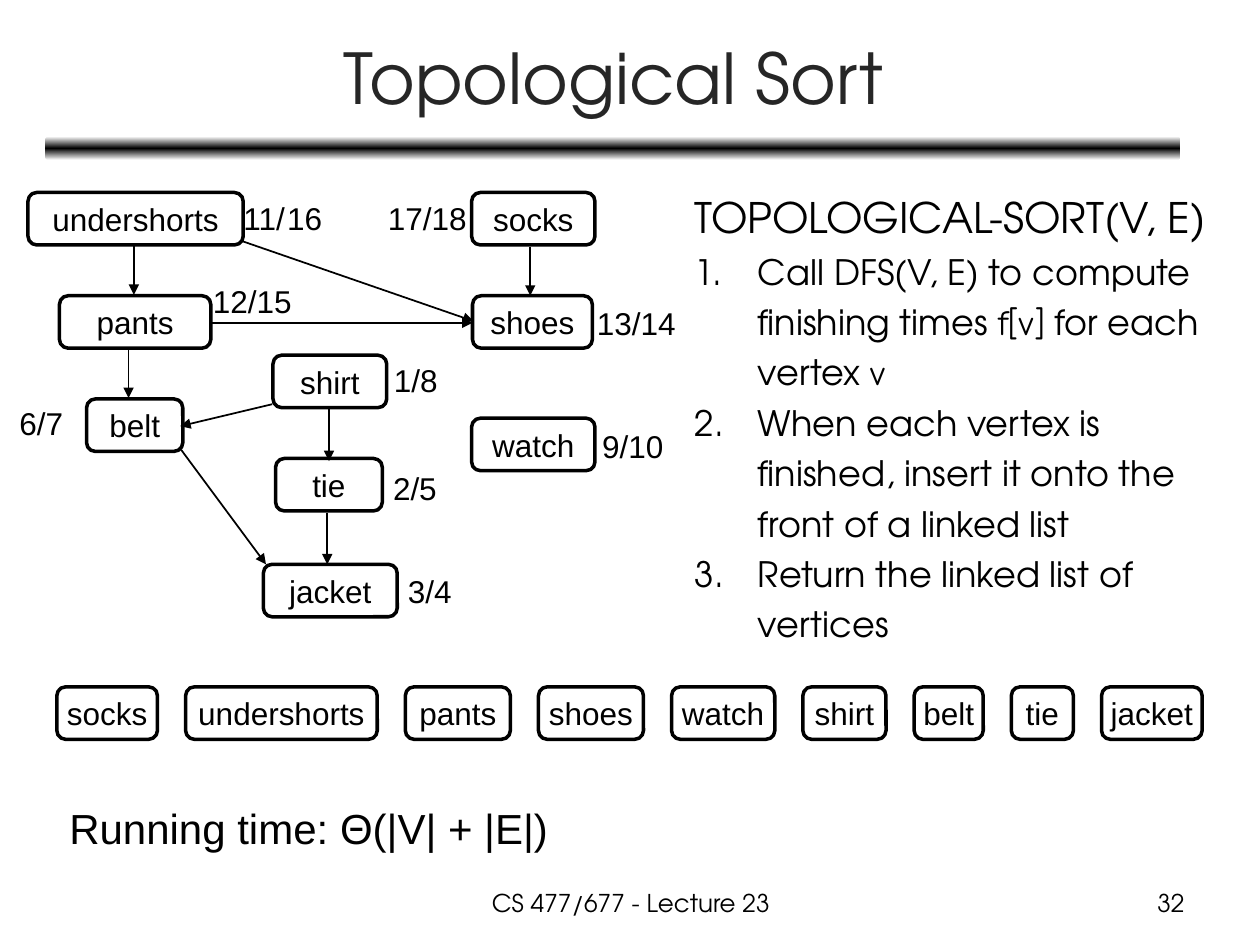
import copy
import dataclasses

import pptx
import pptx.dml.color
import pptx.enum.shapes
import pptx.enum.text
import pptx.oxml.ns
import pptx.util
from lxml import etree

Pt = pptx.util.Pt
RGB = pptx.dml.color.RGBColor
Align = pptx.enum.text.PP_ALIGN
Anchor = pptx.enum.text.MSO_ANCHOR
Auto = pptx.enum.text.MSO_AUTO_SIZE
Shape = pptx.enum.shapes.MSO_SHAPE
Line = pptx.enum.shapes.MSO_CONNECTOR
qn = pptx.oxml.ns.qn


@dataclasses.dataclass(frozen=True)
class Theme:
    ink: RGB = RGB(0, 0, 0)
    paper: RGB = RGB(255, 255, 255)
    title: RGB = RGB(0x26, 0x26, 0x26)
    head: str = "TeX Gyre Adventor"
    plain: str = "Arial"
    math: str = "Comic Neue"
    huge: int = 40
    large: int = 24
    body: int = 20
    label: int = 18
    small: int = 14


theme = Theme()
HIGH = 30  # height of every node

# name: left, top, width
NODES = {
    "undershorts": (12, 0, 123), "pants": (30, 59, 86.5),
    "belt": (45.5, 118, 55), "socks": (265.5, 0, 70.5),
    "shoes": (266, 59, 68.5), "watch": (265.5, 129, 70.5),
    "shirt": (152, 93, 65), "tie": (153.5, 152, 61),
    "jacket": (146.5, 212.5, 76.5),
}
# start x, start y, end x, end y
EDGES = [
    (133.5, 27.5, 266.5, 73.5), (115.5, 74.5, 266, 74.5),
    (184, 123.5, 184, 153.5), (183, 183, 183, 212.5),
    (151.5, 121, 99, 133.5), (99.5, 147, 148, 212.5),
    (299, 31, 299, 59), (72.5, 30.5, 72.5, 58.5),
    (69.5, 89.5, 69.5, 117.5),
]
# found time, finish time, left, top
TIMES = [
    ("1", "8", 214, 93), ("2", "5", 213.5, 154.5),
    ("3", "4", 222, 213.5), ("6", "7", 0, 117.5),
    ("9", "10", 333, 130.5), ("11", "16", 128, 0),
    ("12", "15", 110.5, 47.5), ("13", "14", 330, 60),
    ("17", "18", 210.5, 0),
]
ORDER = {
    "socks": 57.5, "undershorts": 109.5, "pants": 60, "shoes": 60,
    "watch": 59, "shirt": 47.5, "belt": 39.5, "tie": 35.5, "jacket": 57.5,
}
STEPS = [
    [("Call DFS(V, E) to compute finishing times ", theme.head),
     ("f[v]", theme.math), (" for each vertex ", theme.head),
     ("v", theme.math)],
    [("When each vertex is finished, insert it onto the front of a "
      "linked list", theme.head)],
    [("Return the linked list of vertices", theme.head)],
]


def style(item, **values):
    for name, value in values.items():
        setattr(item, name, value)


def write(para, text, size, font=theme.plain, color=theme.ink):
    run = para.add_run()
    run.text = text
    style(run.font, size=Pt(size), name=font)
    run.font.color.rgb = color


def add_text(slide, box, text, size, font=theme.plain, align=Align.LEFT,
             wrap=False):
    frame = slide.shapes.add_textbox(*map(Pt, box)).text_frame
    style(frame, word_wrap=wrap)
    frame.paragraphs[0].alignment = align
    write(frame.paragraphs[0], text, size, font)


def add_node(slide, name, left, top, width):
    node = slide.shapes.add_shape(
        Shape.ROUNDED_RECTANGLE, Pt(left), Pt(top), Pt(width), Pt(HIGH))
    node.shadow.inherit = False
    node.fill.background()
    node.line.color.rgb = theme.ink
    node.line.width = Pt(2)
    style(node.text_frame, word_wrap=False, vertical_anchor=Anchor.MIDDLE)
    para = node.text_frame.paragraphs[0]
    para.alignment = Align.CENTER
    write(para, name, theme.label)


def add_arrow(slide, *ends):
    arrow = slide.shapes.add_connector(Line.STRAIGHT, *map(Pt, ends))
    arrow.line.color.rgb = theme.ink
    arrow.line.width = Pt(1)
    etree.SubElement(arrow.line._get_or_add_ln(), qn("a:tailEnd"),
                     type="triangle")
    etree.SubElement(arrow._element.spPr, qn("a:effectLst"))


def draw_head(slide, left, top, width, height):
    # Title
    title = slide.shapes.title
    style(title, left=Pt(left), top=Pt(top), width=Pt(width),
          height=Pt(height))
    style(title.text_frame, vertical_anchor=Anchor.MIDDLE, word_wrap=True,
          auto_size=Auto.NONE)
    para = title.text_frame.paragraphs[0]
    para.alignment = Align.CENTER
    write(para, "Topological Sort", theme.huge, theme.head, theme.title)

    # Shaded rule: light, dark, light
    rule = slide.shapes.add_shape(
        Shape.ROUNDED_RECTANGLE, Pt(left - 0.5), Pt(top + 70),
        Pt(width + 0.5), Pt(13.5))
    rule.shadow.inherit = False
    rule.line.fill.background()
    rule.fill.gradient()
    rule.fill.gradient_angle = 90
    stops = rule._element.spPr.find(".//" + qn("a:gsLst"))
    stops.append(copy.deepcopy(stops[-1]))
    shades = (theme.paper, theme.ink, theme.paper)
    for i, (stop, shade) in enumerate(zip(rule.fill.gradient_stops, shades)):
        stop.position = i / 2
        stop.color.rgb = shade


def draw_graph(slide, left, top):
    for name, (x, y, width) in NODES.items():
        add_node(slide, name, left + x, top + y, width)
    for x1, y1, x2, y2 in EDGES:
        add_arrow(slide, left + x1, top + y1, left + x2, top + y2)
    # Found and finish times, side by side
    for found, finish, x, y in TIMES:
        x, y, wide = left + x, top + y, 10 * len(found)
        add_text(slide, (x, y, 19.5 + wide, 29), found + "/", theme.label)
        add_text(slide, (x + 5 + wide, y, 14.5 + 10 * len(finish), 29),
                 finish, theme.label)


def draw_steps(slide, *box):
    frame = slide.shapes.add_textbox(*map(Pt, box)).text_frame
    style(frame, word_wrap=True, auto_size=Auto.SHAPE_TO_FIT_TEXT)
    para = frame.paragraphs[0]
    write(para, "TOPOLOGICAL-SORT(V, E)", theme.large, theme.head)
    for step in STEPS:
        para = frame.add_paragraph()
        for text, font in step:
            write(para, text, theme.body, font)
        etree.SubElement(para._p.get_or_add_pPr(), qn("a:buAutoNum"),
                         type="arabicPeriod")
    # Hanging indent
    for para in frame.paragraphs:
        para.line_spacing = 1.2
        props = para._p.get_or_add_pPr()
        props.set("marL", str(Pt(36)))
        props.set("indent", str(-Pt(36)))


def draw_order(slide, left, top, width):
    gap = (width - sum(ORDER.values())) / (len(ORDER) - 1)
    for name, wide in ORDER.items():
        add_node(slide, name, left, top, wide)
        left += wide + gap


def draw_foot(slide, left, top, width, height):
    add_text(slide, (left, top, 291, 36), "Running time: Θ(|V| + |E|)",
             theme.large)
    base = top + height - 25
    add_text(slide, (left + 214, base, 228, 25), "CS 477/677 - Lecture 23",
             theme.small, theme.head, Align.CENTER, True)
    add_text(slide, (left + width - 168, base, 168, 25), "32",
             theme.small, theme.head, Align.RIGHT, True)


def main():
    deck = pptx.Presentation()
    style(deck, slide_width=Pt(720), slide_height=Pt(540))
    slide = deck.slides.add_slide(deck.slide_layouts[5])
    draw_head(slide, 26.5, 8, 648, 71)
    draw_graph(slide, 4, 110)
    draw_steps(slide, 390, 100, 322.5, 275)
    draw_order(slide, 32.5, 392.5, 654.5)
    draw_foot(slide, 32.5, 455, 651.5, 74)
    deck.save("out.pptx")


if __name__ == "__main__":
    main()
